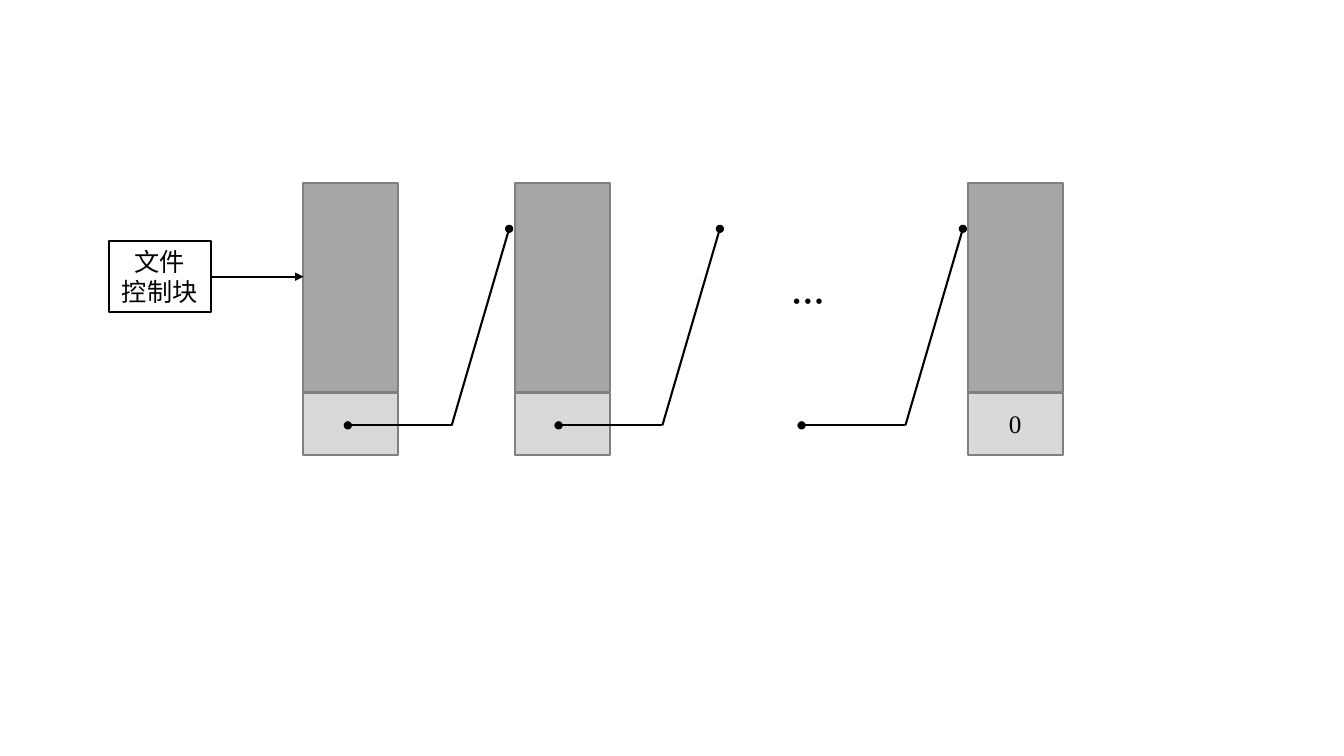
import lxml.etree
import pptx
import pptx.dml.color
import pptx.enum.shapes
import pptx.enum.text
import pptx.oxml.ns
import pptx.util
from pptx.util import Inches

BLACK, GRAY, DATA_FILL, POINTER_FILL = "000000", "808080", "A6A6A6", "D9D9D9"
CJK, LATIN = "Noto Sans CJK SC", "Times New Roman"
BLOCK_LEFTS = (3.01, 5.11, 9.6)
LINK_STARTS = (3.45, 5.54, 7.95)
BLOCK_WIDTH, DATA_TOP, DATA_HEIGHT = 0.94, 1.82, 2.07
POINTER_TOP, POINTER_HEIGHT = 3.9, 0.61
LINK_RUN, LINK_RISE, LINK_BOTTOM, LINK_TOP = 1.03, 0.57, 4.22, 2.27


def rgb(value):
    """Return the colour for a hex string."""
    return pptx.dml.color.RGBColor.from_string(value)


def write(shape, lines, size, font, anchor, align, bold=False):
    """Fill a shape with formatted paragraphs."""
    frame = shape.text_frame
    frame.word_wrap = True
    frame.vertical_anchor = anchor
    frame.text = "\n".join(lines)
    formats = {"size": pptx.util.Pt(size), "name": font, "bold": bold}
    for paragraph in frame.paragraphs:
        paragraph.alignment = align
        for run in paragraph.runs:
            for key, value in formats.items():
                setattr(run.font, key, value)
            run.font.color.rgb = rgb(BLACK)
            east_asian = lxml.etree.SubElement(
                run.font._element, pptx.oxml.ns.qn("a:ea"))
            east_asian.set("typeface", font)


def add_cell(slide, left, top, width, height, line, fill=None):
    """Add an outlined rectangle, filled if a colour is given."""
    cell = slide.shapes.add_shape(
        pptx.enum.shapes.MSO_SHAPE.RECTANGLE,
        Inches(left), Inches(top), Inches(width), Inches(height))
    cell.shadow.inherit = False
    cell.line.color.rgb = rgb(line)
    cell.line.width = pptx.util.Pt(1.5)
    if fill:
        cell.fill.solid()
        cell.fill.fore_color.rgb = rgb(fill)
    else:
        cell.fill.background()
    return cell


def add_line(slide, start, end, **ends):
    """Add a black line with optional headEnd and tailEnd types."""
    line = slide.shapes.add_connector(
        pptx.enum.shapes.MSO_CONNECTOR.STRAIGHT,
        *(Inches(value) for value in (*start, *end)))
    line.line.color.rgb = rgb(BLACK)
    line.line.width = pptx.util.Pt(1.5)
    outline = line.line._get_or_add_ln()
    for tag, kind in ends.items():
        tip = lxml.etree.SubElement(outline, pptx.oxml.ns.qn(f"a:{tag}"))
        tip.set("type", kind)
    lxml.etree.SubElement(line._element.spPr, pptx.oxml.ns.qn("a:effectLst"))
    return line


def add_block(slide, left):
    """Add a disk block and return its pointer cell."""
    add_cell(slide, left, DATA_TOP, BLOCK_WIDTH, DATA_HEIGHT, GRAY, DATA_FILL)
    return add_cell(slide, left, POINTER_TOP, BLOCK_WIDTH, POINTER_HEIGHT,
                    GRAY, POINTER_FILL)


def add_link(slide, left):
    """Add the bent link from a pointer to the next block."""
    bend = (left + LINK_RUN, LINK_BOTTOM)
    add_line(slide, (left, LINK_BOTTOM), bend, headEnd="oval")
    add_line(slide, bend, (bend[0] + LINK_RISE, LINK_TOP), tailEnd="oval")


def main():
    """Build the linked file structure slide."""
    deck = pptx.Presentation()
    deck.slide_width, deck.slide_height = Inches(13.33), Inches(7.5)
    slide = deck.slides.add_slide(deck.slide_layouts[6])
    anchors, aligns = pptx.enum.text.MSO_ANCHOR, pptx.enum.text.PP_ALIGN

    control = add_cell(slide, 1.08, 2.39, 1.01, 0.71, BLACK)
    write(control, ("文件", "控制块"), 18, CJK, anchors.TOP, aligns.CENTER)

    pointers = [add_block(slide, left) for left in BLOCK_LEFTS]
    write(pointers[-1], ("0",), 18, LATIN, anchors.MIDDLE, aligns.CENTER)
    for left in LINK_STARTS:
        add_link(slide, left)

    ellipsis = slide.shapes.add_textbox(
        Inches(7.75), Inches(2.74), Inches(1.18), Inches(0.5))
    write(ellipsis, ("…",), 24, CJK, anchors.TOP, aligns.LEFT, bold=True)

    middle = 2.39 + 0.71 / 2
    entry = add_line(slide, (2.09, middle), (BLOCK_LEFTS[0], middle),
                     tailEnd="triangle")
    entry.begin_connect(control, 3)

    deck.save("out.pptx")


if __name__ == "__main__":
    main()
